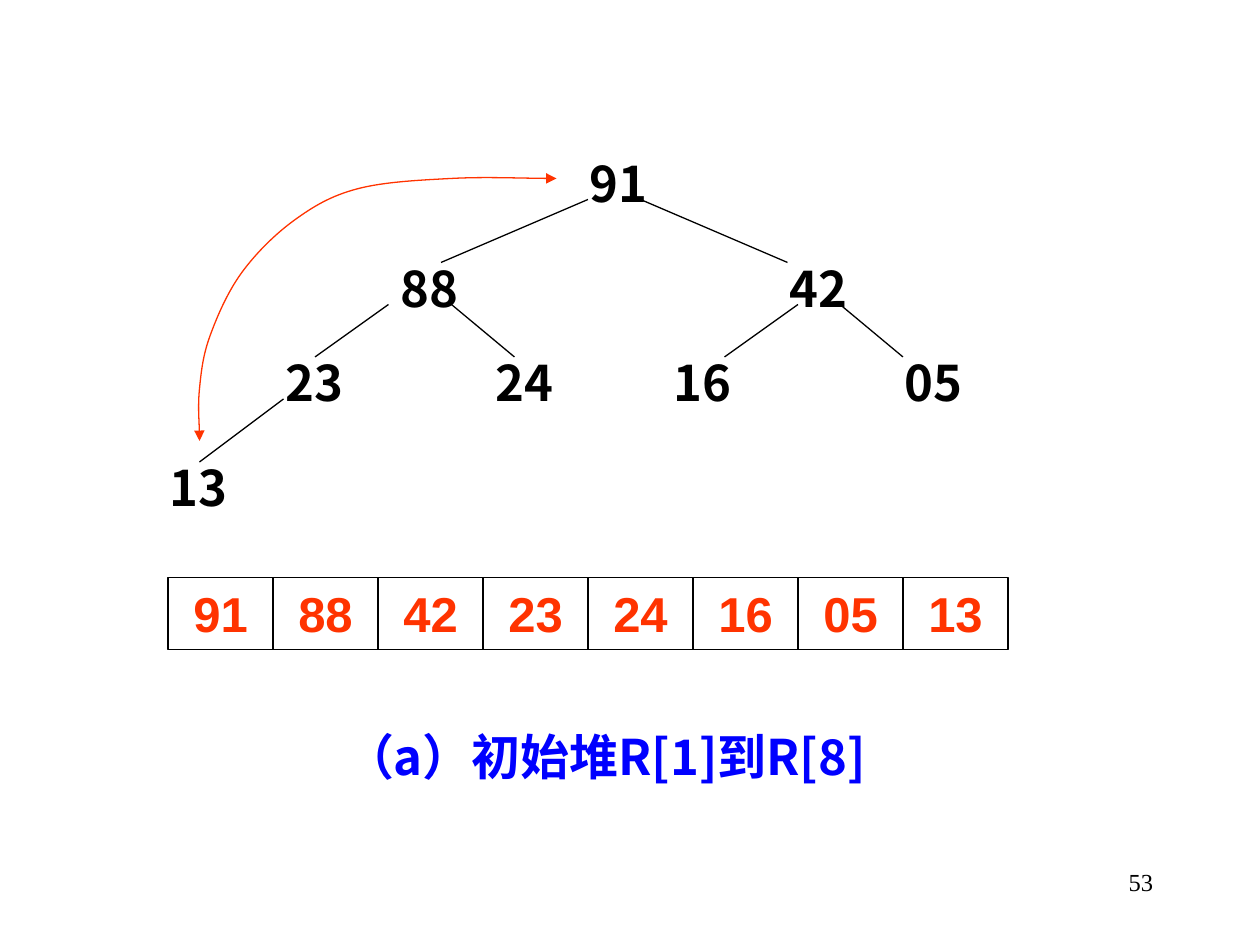
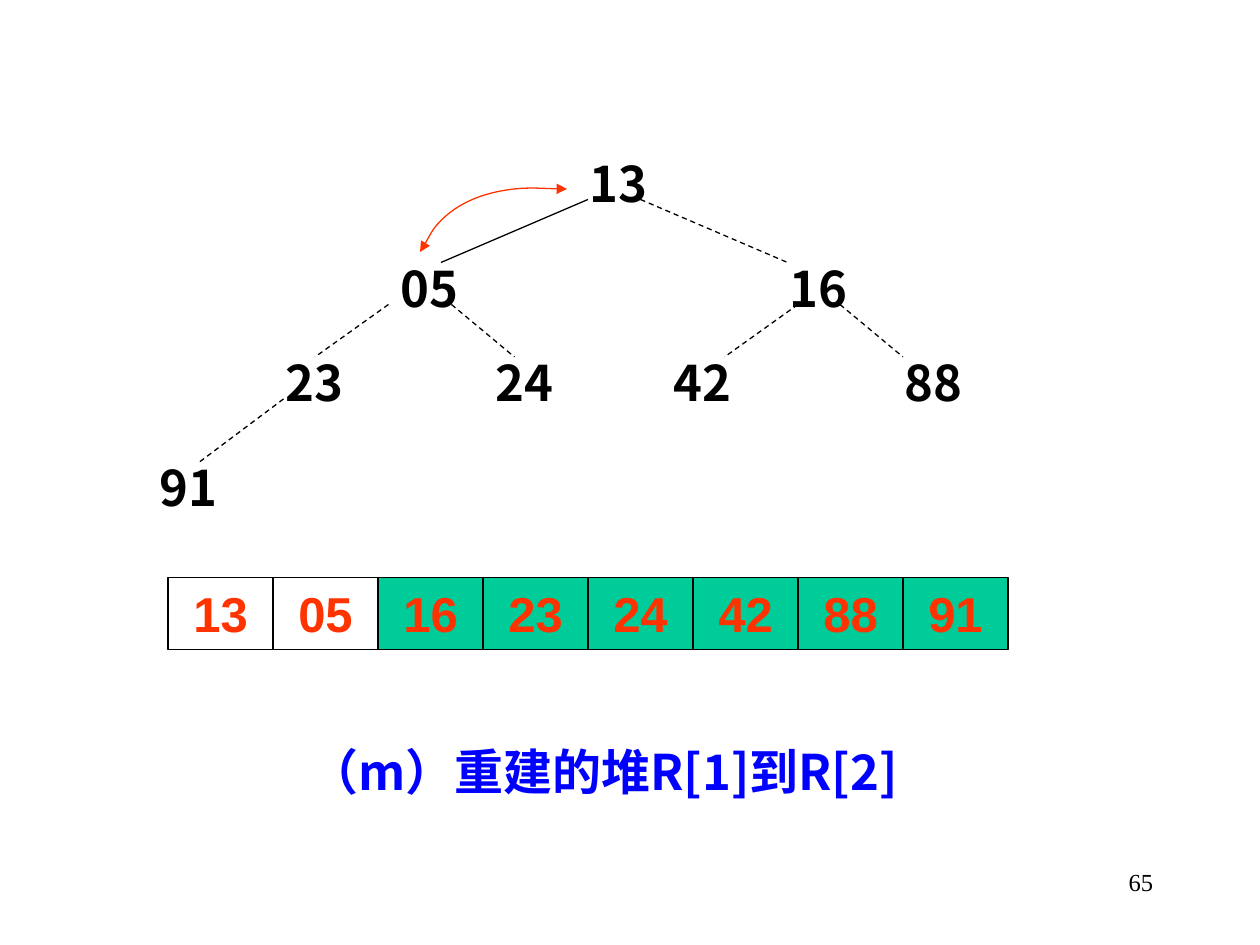
"""Build two heap sort slides: a tree, its array and the next swap."""
import pptx
import pptx.dml.color
import pptx.enum.dml
import pptx.enum.shapes
import pptx.enum.text
import pptx.oxml
import pptx.oxml.ns
import pptx.util

STEPS = [
    {
        "values": ["91", "88", "42", "23", "24", "16", "05", "13"],
        "heap_size": 8,
        "last_leaf_column": 15,
        "swap": [(19, 42), (19, 37), (20, 32), (23, 26), (28, 21), (34, 18), (43, 17), (53, 17)],
        "caption": "（a）初始堆R[1]到R[8]",
        "caption_corner": (23.16, 68.64),
        "caption_space": 17.5,
        "page": "53",
    },
    {
        "values": ["13", "05", "16", "23", "24", "42", "88", "91"],
        "heap_size": 2,
        "last_leaf_column": 14,
        "swap": [(40, 24), (42, 21), (45, 19), (49, 18), (54, 18)],
        "caption": "（m）重建的堆R[1]到R[2]",
        "caption_corner": (23, 70),
        "caption_space": 0,
        "page": "65",
    },
]
NODE_CORNERS = [(55, 14), (37, 24), (74, 24), (26, 33), (46, 33), (63, 33), (85, 33)]
LAST_LEAF_ROW = 43
EDGES = [
    ((56, 19), (42, 25)),
    ((61, 19), (75, 25)),
    ((37, 29), (30, 34)),
    ((43, 29), (49, 34)),
    ((76, 29), (69, 34)),
    ((80, 29), (86, 34)),
    ((27, 38), (19, 44)),
]
COLORS = {"ink": "000000", "accent": "FF3300", "caption": "0000FF", "sorted": "00CC99"}
ALIGN = pptx.enum.text.PP_ALIGN
NODE_FORMAT = {"font": "Noto Sans CJK SC", "size": 28, "bold": True, "color": "ink", "align": ALIGN.LEFT}
CAPTION_FORMAT = {**NODE_FORMAT, "color": "caption", "align": ALIGN.CENTER}
CELL_FORMAT = {**CAPTION_FORMAT, "font": "Arial", "color": "accent"}
PAGE_FORMAT = {"font": "Times New Roman", "size": 14, "bold": False, "color": "ink", "align": ALIGN.RIGHT}
COLUMNS, ROWS = 120, 90
UNIT = pptx.util.Inches(10) // COLUMNS
TEXT_HEIGHT = 6.84
ARRAY_LEFT, ARRAY_TOP, CELL_WIDTH = 16, 55, 10


def grid(*lengths):
    return [pptx.util.Emu(round(length * UNIT)) for length in lengths]


def rgb(name):
    return pptx.dml.color.RGBColor.from_string(COLORS[name])


def element(parent, tag, **attributes):
    child = parent.makeelement(pptx.oxml.ns.qn(tag), attributes)
    parent.append(child)
    return child


def write(shape, text, style, space_before=0):
    frame = shape.text_frame
    frame_format = {
        "word_wrap": True,
        "vertical_anchor": pptx.enum.text.MSO_ANCHOR.TOP,
        "margin_left": pptx.util.Inches(0.1),
        "margin_right": pptx.util.Inches(0.1),
        "margin_top": pptx.util.Inches(0.05),
        "margin_bottom": pptx.util.Inches(0.05),
    }
    for name, value in frame_format.items():
        setattr(frame, name, value)
    paragraph = frame.paragraphs[0]
    paragraph.alignment = style["align"]
    paragraph.space_before = pptx.util.Pt(space_before)
    run = paragraph.add_run()
    run.text = text
    font_format = {"name": style["font"], "size": pptx.util.Pt(style["size"]), "bold": style["bold"]}
    for name, value in font_format.items():
        setattr(run.font, name, value)
    run.font.color.rgb = rgb(style["color"])
    element(run.font._element, "a:ea", typeface=style["font"])


def add_text(slide, box, text, style, space_before=0):
    write(slide.shapes.add_textbox(*grid(*box)), text, style, space_before)


def outline(shape, color):
    shape.line.color.rgb = rgb(color)
    shape.line.width = pptx.util.Pt(0.75)


def add_edge(slide, start, end, dashed):
    connector = slide.shapes.add_connector(
        pptx.enum.shapes.MSO_CONNECTOR.STRAIGHT, *grid(*start, *end))
    outline(connector, "ink")
    if dashed:
        connector.line.dash_style = pptx.enum.dml.MSO_LINE.DASH
    element(connector._element.spPr, "a:effectLst")


def add_cell(slide, index, value, is_sorted):
    left = ARRAY_LEFT + index * CELL_WIDTH
    cell = slide.shapes.add_shape(
        pptx.enum.shapes.MSO_SHAPE.RECTANGLE, *grid(left, ARRAY_TOP, CELL_WIDTH, TEXT_HEIGHT))
    cell.shadow.inherit = False
    outline(cell, "ink")
    if is_sorted:
        cell.fill.solid()
        cell.fill.fore_color.rgb = rgb("sorted")
    else:
        cell.fill.background()
    write(cell, value, CELL_FORMAT)


def smooth(shape):
    points = [(int(point.get("x")), int(point.get("y")))
              for point in shape._element.iter(pptx.oxml.ns.qn("a:pt"))]
    inner = [((after[0] - before[0]) / 6, (after[1] - before[1]) / 6)
             for before, after in zip(points, points[2:])]
    ends = [((after[0] - before[0]) / 3, (after[1] - before[1]) / 3)
            for before, after in (points[:2], points[-2:])]
    tangents = [ends[0], *inner, ends[1]]
    segments = list(shape._element.iter(pptx.oxml.ns.qn("a:lnTo")))
    for index, segment in enumerate(segments):
        start, end = points[index:index + 2]
        leave, arrive = tangents[index:index + 2]
        controls = [
            (start[0] + leave[0], start[1] + leave[1]),
            (end[0] - arrive[0], end[1] - arrive[1]),
            end,
        ]
        outline_path = segment.getparent()
        curve = element(outline_path, "a:cubicBezTo")
        outline_path.replace(segment, curve)
        for x, y in controls:
            element(curve, "a:pt", x=str(round(x)), y=str(round(y)))


def add_swap_arrow(slide, knots):
    points = [tuple(grid(*knot)) for knot in knots]
    builder = slide.shapes.build_freeform(*points[0])
    builder.add_line_segments(points[1:], close=False)
    arrow = builder.convert_to_shape()
    smooth(arrow)
    arrow.shadow.inherit = False
    arrow.fill.background()
    outline(arrow, "accent")
    for tag in ("a:headEnd", "a:tailEnd"):
        element(arrow.line._get_or_add_ln(), tag, type="triangle")


def build_step(slide, step):
    corners = NODE_CORNERS + [(step["last_leaf_column"], LAST_LEAF_ROW)]
    for corner, value in zip(corners, step["values"]):
        add_text(slide, (*corner, 8, TEXT_HEIGHT), value, NODE_FORMAT)
    for child, (start, end) in enumerate(EDGES, 1):
        add_edge(slide, start, end, child >= step["heap_size"])
    for index, value in enumerate(step["values"]):
        add_cell(slide, index, value, index >= step["heap_size"])
    add_text(slide, (*step["caption_corner"], 69, TEXT_HEIGHT), step["caption"],
             CAPTION_FORMAT, step["caption_space"])
    add_swap_arrow(slide, step["swap"])
    add_text(slide, (86, 82, 25, 6), step["page"], PAGE_FORMAT)


def main():
    presentation = pptx.Presentation()
    presentation.slide_width, presentation.slide_height = grid(COLUMNS, ROWS)
    for step in STEPS:
        build_step(presentation.slides.add_slide(presentation.slide_layouts[6]), step)
    presentation.save("out.pptx")


if __name__ == "__main__":
    main()
